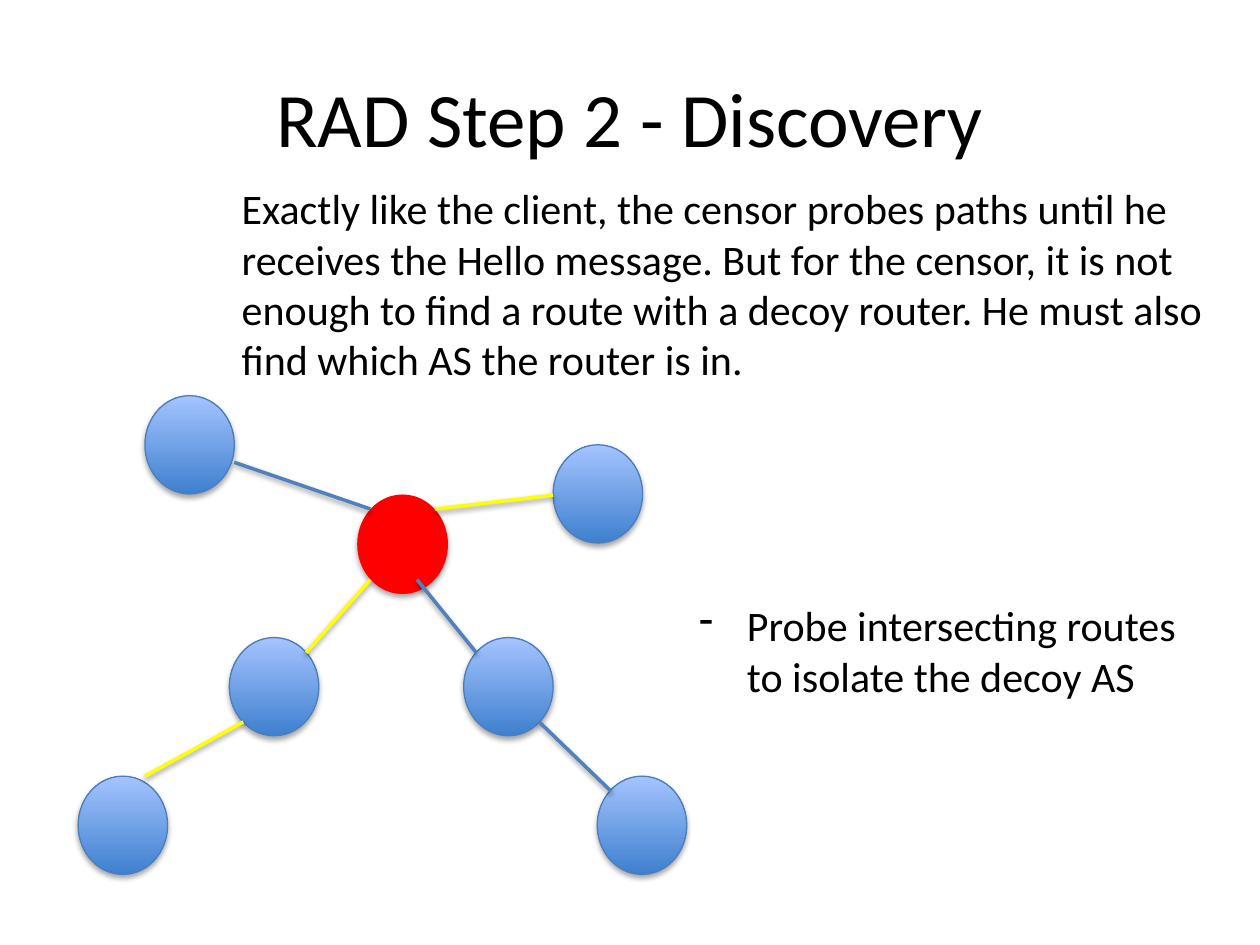
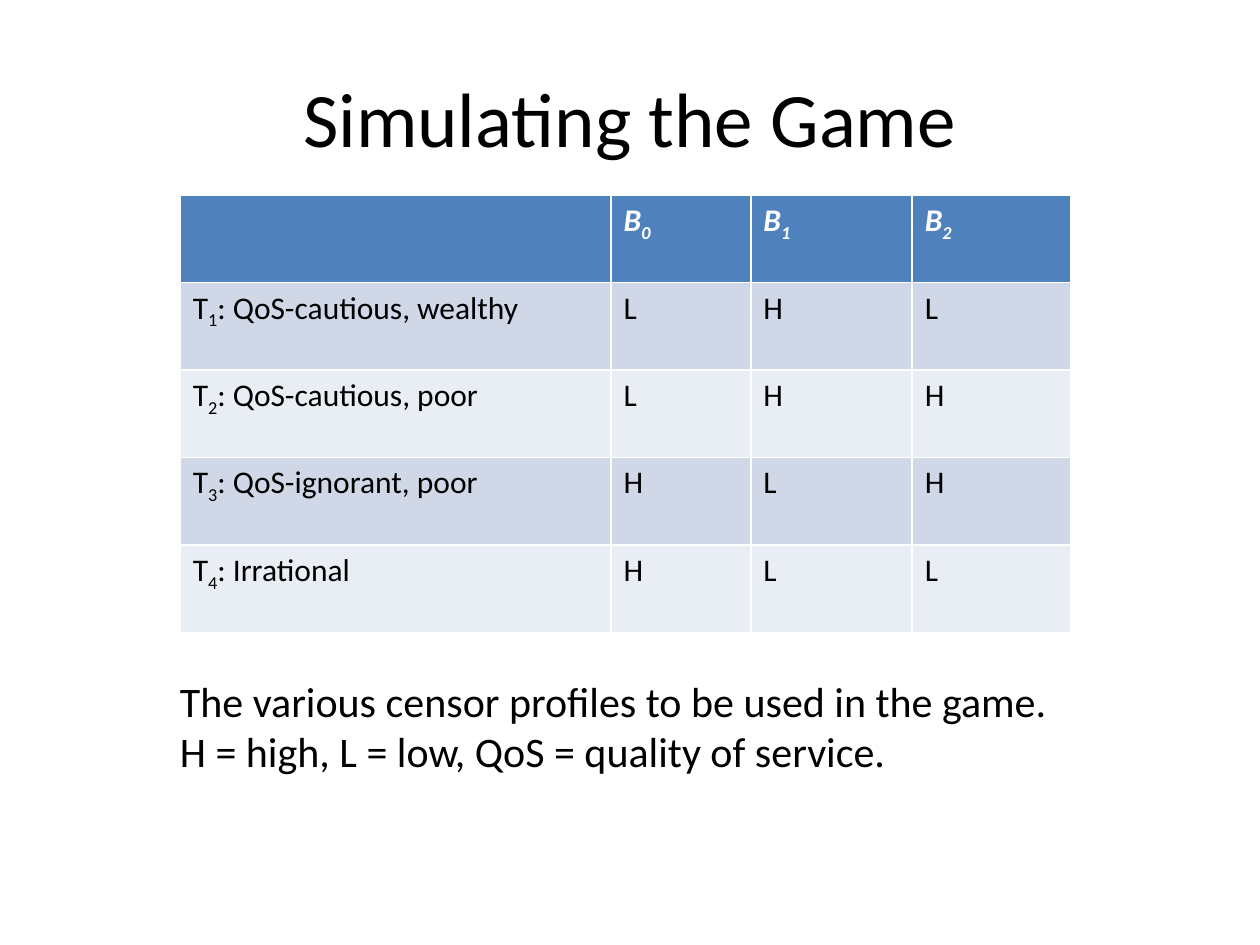
import pptx
import pptx.dml.color
import pptx.enum.shapes
import pptx.enum.text
import pptx.oxml
import pptx.oxml.ns
import pptx.util

Inches = pptx.util.Inches
Pt = pptx.util.Pt
RGBColor = pptx.dml.color.RGBColor

FONT = "Calibri"
BLACK = RGBColor(0x00, 0x00, 0x00)
WHITE = RGBColor(0xFF, 0xFF, 0xFF)
RED = RGBColor(0xFF, 0x00, 0x00)
YELLOW = RGBColor(0xFF, 0xFF, 0x00)
BLUE = RGBColor(0x4F, 0x81, 0xBD)
OUTLINE = RGBColor(0x4B, 0x7E, 0xBC)
NODE_DARK = RGBColor(0x3F, 0x80, 0xCE)
NODE_LIGHT = RGBColor(0xA4, 0xC4, 0xFF)
BANDS = [RGBColor(0xD0, 0xD8, 0xE8), RGBColor(0xE9, 0xED, 0xF4)]


def format_text(tf, size, color=BLACK):
    for p in tf.paragraphs:
        for r in p.runs:
            r.font.name = FONT
            r.font.size = Pt(size)
            r.font.color.rgb = color


def add_text(slide, left, top, width, height, lines):
    sp = slide.shapes.add_textbox(Inches(left), Inches(top), Inches(width), Inches(height))
    tf = sp.text_frame
    tf.text = "\n".join(lines)
    tf.word_wrap = False
    tf.auto_size = pptx.enum.text.MSO_AUTO_SIZE.SHAPE_TO_FIT_TEXT
    format_text(tf, 24)
    return tf


prs = pptx.Presentation()
prs.slide_width = Inches(10)
prs.slide_height = Inches(7.5)

slides = []
for title in ["RAD Step 2 - Discovery", "Simulating the Game"]:
    slide = prs.slides.add_slide(prs.slide_layouts.get_by_name("Title Only"))
    sp = slide.shapes.title
    sp.left, sp.top, sp.width, sp.height = Inches(0.5), Inches(0.3), Inches(9), Inches(1.25)
    sp.text_frame.text = title
    format_text(sp.text_frame, 44)
    slides.append(slide)
discovery, game = slides

add_text(discovery, 1.82, 1.4, 7.96, 1.72, [
    "Exactly like the client, the censor probes paths until he",
    "receives the Hello message. But for the censor, it is not",
    "enough to find a route with a decoy router. He must also",
    "find which AS the router is in.",
])

decoy = (2.84, 3.93)
nodes = [(0.62, 6.16), (1.82, 5.06), decoy, (4.39, 3.53), (4.74, 6.16), (3.68, 5.06), (1.15, 3.14)]
for node in nodes:
    left, top = node
    sp = discovery.shapes.add_shape(
        pptx.enum.shapes.MSO_SHAPE.OVAL, Inches(left), Inches(top), Inches(0.71), Inches(0.78))
    sp.line.width = Pt(0.75)
    if node == decoy:
        sp.fill.solid()
        sp.fill.fore_color.rgb = RED
        sp.line.color.rgb = RED
    else:
        sp.fill.gradient()
        sp.fill.gradient_angle = 90
        for stop, color in zip(sp.fill.gradient_stops, [NODE_DARK, NODE_LIGHT]):
            stop.color.rgb = color
        sp.line.color.rgb = OUTLINE

links = [
    (1.15, 6.16, 1.93, 5.73, YELLOW),
    (2.43, 5.18, 2.94, 4.6, YELLOW),
    (3.45, 4.04, 4.39, 3.93, YELLOW),
    (4.85, 6.28, 4.28, 5.73, BLUE),
    (3.78, 5.18, 3.31, 4.6, BLUE),
    (2.94, 4.04, 1.86, 3.67, BLUE),
]
for x1, y1, x2, y2, color in links:
    link = discovery.shapes.add_connector(
        pptx.enum.shapes.MSO_CONNECTOR.STRAIGHT, Inches(x1), Inches(y1), Inches(x2), Inches(y2))
    link.line.color.rgb = color
    link.line.width = Pt(2)

tf = add_text(discovery, 5.45, 4.71, 4.03, 0.91, ["Probe intersecting routes", "to isolate the decoy AS"])
for p in tf.paragraphs:
    p._p.get_or_add_pPr().set("marL", str(Inches(0.38)))
pPr = tf.paragraphs[0]._p.get_or_add_pPr()
pPr.set("indent", str(-Inches(0.38)))
bullet = pptx.oxml.parse_xml("<a:buChar %s char='-'/>" % pptx.oxml.ns.nsdecls("a"))
pPr.append(bullet)

rows = [
    [("",), ("B", "0"), ("B", "1"), ("B", "2")],
    [("T", "1", ": QoS-cautious, wealthy"), "L", "H", "L"],
    [("T", "2", ": QoS-cautious, poor"), "L", "H", "H"],
    [("T", "3", ": QoS-ignorant, poor"), "H", "L", "H"],
    [("T", "4", ": Irrational"), "H", "L", "L"],
]
widths = [3.42, 1.11, 1.28, 1.26]
table = game.shapes.add_table(
    len(rows), len(widths), Inches(1.43), Inches(1.55), Inches(sum(widths)), Inches(3.47)).table
for column, width in zip(table.columns, widths):
    column.width = Inches(width)
for i, row in enumerate(rows):
    header = i == 0
    for j, parts in enumerate(row):
        cell = table.cell(i, j)
        cell.fill.solid()
        cell.fill.fore_color.rgb = BLUE if header else BANDS[(i - 1) % 2]
        p = cell.text_frame.paragraphs[0]
        for k, part in enumerate(parts):
            r = p.add_run()
            r.text = part
            r.font.bold = header
            r.font.italic = header
            if k == 1:
                r.font._element.set("baseline", "-25000")
        format_text(cell.text_frame, 18, WHITE if header else BLACK)

add_text(game, 1.33, 5.31, 7.17, 0.91, [
    "The various censor profiles to be used in the game.",
    "H = high, L = low, QoS = quality of service.",
])

prs.save("out.pptx")
